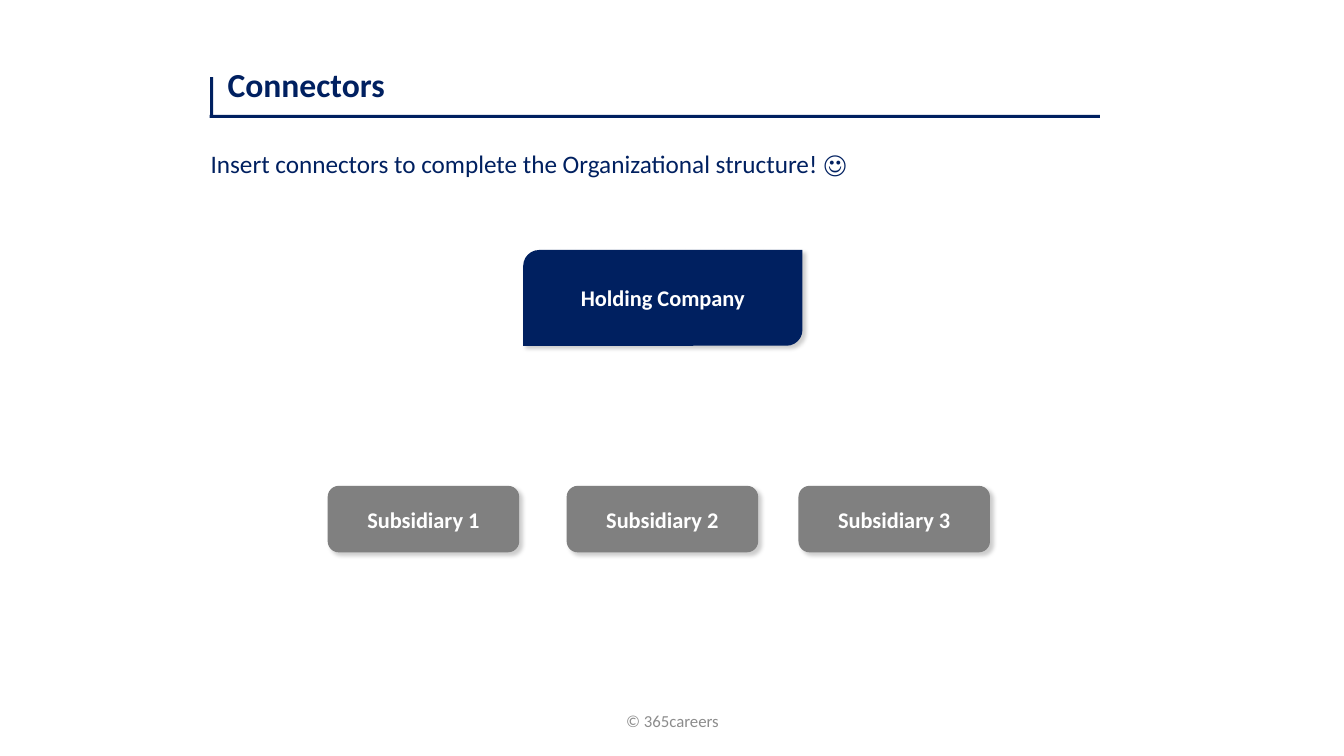
from lxml.etree import SubElement
from pptx import Presentation
from pptx.dml.color import RGBColor
from pptx.enum.shapes import MSO_SHAPE
from pptx.enum.text import MSO_ANCHOR, PP_ALIGN
from pptx.oxml.ns import qn
from pptx.util import Inches, Pt

WIDTH, HEIGHT = Inches(13.33), Inches(7.5)
NAVY = RGBColor(0x00, 0x20, 0x60)
GREY = RGBColor(0x80, 0x80, 0x80)
PALE = RGBColor(0x8C, 0x8C, 0x8C)
WHITE = RGBColor(0xFF, 0xFF, 0xFF)


def place(left, top, width, height):
    """Turn percentages of the slide's size into lengths."""
    return (int(WIDTH * left / 100), int(HEIGHT * top / 100),
            int(WIDTH * width / 100), int(HEIGHT * height / 100))


def write(shape, text, size, color, bold=False, center=False):
    frame = shape.text_frame
    frame.word_wrap = True
    frame.text = text
    frame.vertical_anchor = MSO_ANCHOR.MIDDLE if center else MSO_ANCHOR.TOP
    line = frame.paragraphs[0]
    line.alignment = PP_ALIGN.CENTER if center else PP_ALIGN.LEFT
    font = line.runs[0].font
    font.name, font.size, font.bold = "Calibri", Pt(size), bold
    font.color.rgb = color


def add_label(slide, area, text, size, color, **style):
    write(slide.shapes.add_textbox(*place(*area)), text, size, color, **style)


def add_block(slide, kind, area, fill):
    block = slide.shapes.add_shape(kind, *place(*area))
    block.shadow.inherit = False
    block.fill.solid()
    block.fill.fore_color.rgb = fill
    block.line.fill.background()
    return block


def add_shadow(shape):
    effects = shape.element.spPr.find(qn("a:effectLst"))
    shadow = SubElement(effects, qn("a:outerShdw"), blurRad=str(Pt(3)),
                        dist=str(Pt(3)), dir=str(45 * 60000),
                        algn="tl", rotWithShape="0")
    color = SubElement(shadow, qn("a:srgbClr"), val="000000")
    SubElement(color, qn("a:alpha"), val="20000")


def add_unit(slide, kind, area, fill, name):
    """Add one company of the organisation chart."""
    unit = add_block(slide, kind, area, fill)
    add_shadow(unit)
    write(unit, name, 16, WHITE, bold=True, center=True)


def main():
    deck = Presentation()
    deck.slide_width, deck.slide_height = WIDTH, HEIGHT
    slide = deck.slides.add_slide(deck.slide_layouts[6])

    add_label(slide, (16.2, 7.73, 55, 6.67), "Connectors", 24, NAVY, bold=True)
    for area in ((15.6, 15.2, 66.24, 0.4), (15.64, 10.2, 0.23, 5.33)):
        add_block(slide, MSO_SHAPE.RECTANGLE, area, NAVY)

    add_unit(slide, MSO_SHAPE.ROUND_2_DIAG_RECTANGLE,
             (38.93, 33.07, 20.78, 12.67), NAVY, "Holding Company")
    for number, left in enumerate((24.38, 42.16, 59.41), 1):
        add_unit(slide, MSO_SHAPE.ROUNDED_RECTANGLE,
                 (left, 64.27, 14.25, 8.8), GREY, f"Subsidiary {number}")

    add_label(slide, (34.21, 92.67, 31.66, 5.33), "© 365careers",
              12, PALE, center=True)
    add_label(slide, (14.93, 18.93, 56.26, 5.33),
              "Insert connectors to complete the Organizational structure! ☺",
              18, NAVY)
    deck.save("out.pptx")


if __name__ == "__main__":
    main()
